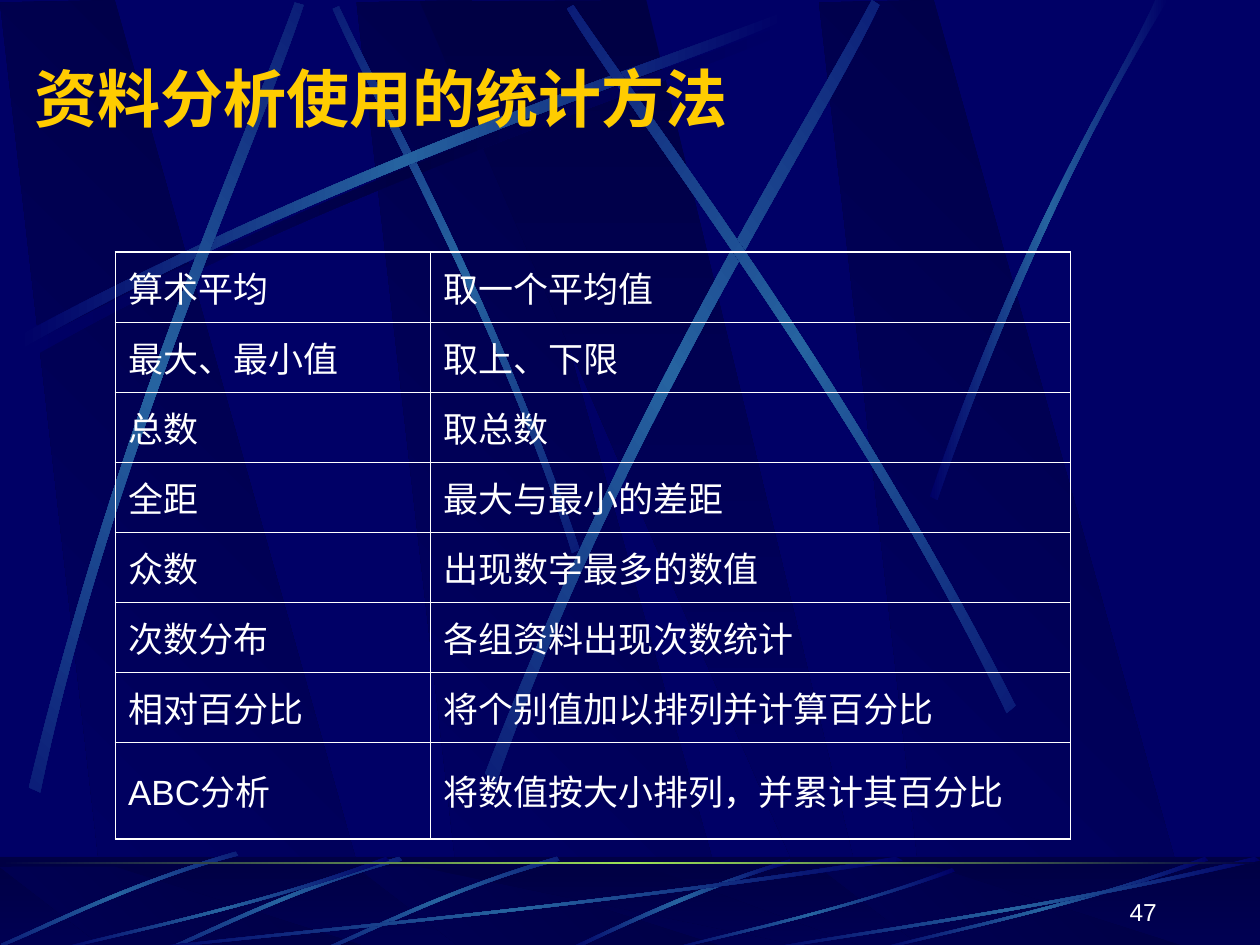
from math import cos, radians, sin

from lxml import etree
from pptx import Presentation
from pptx.dml.color import RGBColor as RGB
from pptx.enum.shapes import MSO_SHAPE as Shape
from pptx.enum.text import MSO_ANCHOR as Anchor, PP_ALIGN as Align
from pptx.oxml import parse_xml
from pptx.oxml.ns import nsdecls, qn
from pptx.util import Inches, Pt

COL = {"navy": "000066", "dark": "000044", "blue": "2663A0",
       "green": "9CE157", "gold": "FFCC00", "white": "FFFFFF"}
LATIN, HAN = "Arial", "Noto Sans CJK SC"

TITLE = "资料分析使用的统计方法"
NUMBER = "47"
ROWS = [
    ("算术平均", "取一个平均值"),
    ("最大、最小值", "取上、下限"),
    ("总数", "取总数"),
    ("全距", "最大与最小的差距"),
    ("众数", "出现数字最多的数值"),
    ("次数分布", "各组资料出现次数统计"),
    ("相对百分比", "将个别值加以排列并计算百分比"),
    ("ABC分析", "将数值按大小排列，并累计其百分比"),
]
WIDTHS = [2.5, 5.08]
HIGH, FOOT = 4.66, 0.77
HEIGHTS = [(HIGH - FOOT) / 7] * 7 + [FOOT]
THIN, THICK = 0.45, 1.08

SHADE = ["dark", "navy"]
GLOW = ["navy", "blue", "navy"]
DIM = ["navy", "dark", "navy"]

# Bands: gradient angle, corners
SLANT = [(0.86, 7.5), (3.02, 7.52), (0.91, 0), (0, 0.02)]
BANDS = [(135, [(x + dx, y) for x, y in SLANT]) for dx in (2.83, 0, 6.5)]
BANDS.append((90, [(3.33, 0.01), (6.58, 7.51), (6.94, 7.51), (5.13, 0)]))

# Ribbons: colours, rotation, two Bezier edges of four points each
BEAMS = [
    (DIM, 0, [(0.2, 2.75), (2.84, 1.34), (5.24, 0.59), (6.26, 0.18),
              (6.29, 0.24), (5.28, 0.69), (2.54, 1.51), (0.23, 2.85)]),
    (GLOW, 45, [(4.6, 4.36), (3.91, 2.34), (3.02, 0.77), (2.69, 0.05),
                (2.64, 0.07), (2.95, 0.79), (3.98, 2.58), (4.54, 4.39)]),
    (GLOW, 0, [(0.14, 2.67), (2.78, 1.25), (5.18, 0.51), (6.2, 0.1),
               (6.23, 0.16), (5.22, 0.61), (2.48, 1.43), (0.17, 2.77)]),
    (GLOW, 311.7, [(0.23, 6.25), (0.93, 3.34), (1.97, 1.05), (2.34, 0.02),
                   (2.41, 0.04), (2.07, 1.09), (0.86, 3.68), (0.32, 6.29)]),
    (GLOW, 321.6, [(3.85, 6.14), (4.98, 3.2), (6.38, 1.02), (6.92, 0),
                   (6.98, 0.04), (6.49, 1.08), (4.86, 3.55), (3.94, 6.21)]),
    (GLOW, 34.8, [(8.06, 5.6), (6.7, 2.93), (5.16, 0.95), (4.55, 0.04),
                  (4.5, 0.07), (5.07, 1.01), (6.85, 3.25), (7.99, 5.66)]),
    (GLOW, 0, [(7.38, 3.94), (8.14, 1.73), (8.88, 0.66), (9.17, 0),
               (9.27, 0), (8.36, 1.45), (7.69, 3.22), (7.44, 3.97)]),
]
BLADE = [(4.42, 6.8), (3.55, 7.05), (2.87, 7.4), (2.56, 7.53),
         (2.57, 7.55), (2.88, 7.43), (3.65, 7.03), (4.44, 6.83)]
# Long floor ribbons share one outline, as parts of their own box
SWEEP = [(1, 0.04), (0.57, 0.57), (0.17, 0.85), (0.01, 1),
         (0, 0.99), (0.17, 0.81), (0.62, 0.51), (0.99, 0)]
BOXES = [(1, 6.8, 6.17, 0.75), (0.42, 6.8, 2.67, 0.75), (5.27, 6.89, 2.31, 0.66),
         (6.92, 6.8, 2.67, 0.75), (6, 6.8, 4, 0.75)]

FLOOR = [(GLOW, 0, [(6.27, 6.82), (5.37, 7.09), (4.77, 7.42), (4.48, 7.54),
                    (4.53, 7.55), (4.9, 7.37), (5.71, 7), (6.28, 6.85)])]
FLOOR += [(GLOW, 314.9, [(x + dx, y + dy) for x, y in BLADE])
          for dx, dy in ((0, 0), (-1.25, 0), (-2.55, -0.04))]
FLOOR += [(GLOW, 0, [(x + w * u, y + h * v) for u, v in SWEEP])
          for x, y, w, h in BOXES]


def shade(shape, names, angle):
    """Fill with evenly spaced colours along a clockwise angle."""
    step = 100000 // (len(names) - 1)
    stops = "".join(f'<a:gs pos="{i * step}"><a:srgbClr val="{COL[n]}"/></a:gs>'
                    for i, n in enumerate(names))
    shape.fill.background()
    props = shape.element.spPr
    props.replace(props.find(qn("a:noFill")), parse_xml(
        f'<a:gradFill {nsdecls("a")} rotWithShape="1"><a:gsLst>{stops}</a:gsLst>'
        f'<a:lin ang="{angle * 60000}" scaled="0"/></a:gradFill>'))
    shape.line.fill.background()
    shape.shadow.inherit = False


def turn(x, y, deg):
    c, s = cos(radians(deg)), sin(radians(deg))
    return x * c - y * s, x * s + y * c


def outline(shapes, pts):
    pts = [(Inches(x), Inches(y)) for x, y in pts]
    form = shapes.build_freeform(*pts[0])
    form.add_line_segments(pts[1:], close=True)
    return form.convert_to_shape()


def bend(shape):
    """Join each three lines of an edge into one Bezier curve."""
    lines = list(shape.element.iter(qn("a:lnTo")))
    for trio in (lines[:3], lines[4:]):
        curve = etree.Element(qn("a:cubicBezTo"))
        trio[0].addprevious(curve)
        for line in trio:
            curve.append(line[0])
            line.getparent().remove(line)


def ribbon(shapes, names, deg, pts):
    """Draw the ribbon unturned, then turn it so the gradient follows its length."""
    shape = outline(shapes, [turn(x, y, -deg) for x, y in pts])
    bend(shape)
    mid = shape.left + shape.width / 2, shape.top + shape.height / 2
    x, y = turn(*mid, deg)
    shape.left, shape.top = int(x - shape.width / 2), int(y - shape.height / 2)
    shape.rotation = deg
    shade(shape, names, 180)


def box(shapes, top, high):
    return shapes.add_shape(Shape.RECTANGLE, 0, Inches(top), Inches(10), Inches(high))


def style(para, size, color, face=LATIN, bold=False):
    for run in para.runs:
        font = run.font
        font.size, font.name, font.bold = Pt(size), face, bold
        font.color.rgb = RGB.from_string(COL[color])
        etree.SubElement(run._r.get_or_add_rPr(), qn("a:ea"), typeface=HAN)


def border(cell, sides):
    props = cell._tc.get_or_add_tcPr()
    for i, (side, width) in enumerate(sides.items()):
        props.insert(i, parse_xml(
            f'<a:ln{side} {nsdecls("a")} w="{int(Pt(width))}"><a:solidFill>'
            f'<a:srgbClr val="{COL["white"]}"/></a:solidFill></a:ln{side}>'))


def scenery(shapes):
    for angle, pts in BANDS:
        shade(outline(shapes, pts), SHADE, angle)
    for beam in BEAMS:
        ribbon(shapes, *beam)
    shade(box(shapes, 6.8, 0.75), SHADE, 90)
    for angle, pts in BANDS:
        flat = [(x, 6.88 + y * 0.67 / 7.52) for x, y in pts]
        shade(outline(shapes, flat), SHADE, angle)
    veil = box(shapes, 6.8, 0.75)
    veil.fill.solid()
    veil.fill.fore_color.rgb = RGB.from_string(COL["dark"])
    tint = veil.element.spPr.find(".//" + qn("a:srgbClr"))
    etree.SubElement(tint, qn("a:alpha"), val="50000")
    veil.line.fill.background()
    veil.shadow.inherit = False
    for beam in FLOOR:
        ribbon(shapes, *beam)
    shade(box(shapes, 6.84, 0.02), ["dark", "green", "dark"], 180)


def methods(shapes):
    last = len(ROWS) - 1
    table = shapes.add_table(len(ROWS), 2, Inches(11 / 12), Inches(2),
                             Inches(sum(WIDTHS)), Inches(HIGH)).table
    table.first_row = table.horz_banding = False
    for col, width in zip(table.columns, WIDTHS):
        col.width = Inches(width)
    for r, (row, high) in enumerate(zip(ROWS, HEIGHTS)):
        table.rows[r].height = Inches(high)
        for c, text in enumerate(row):
            cell = table.cell(r, c)
            cell.text_frame.text = text
            cell.vertical_anchor = Anchor.MIDDLE
            cell.fill.background()
            style(cell.text_frame.paragraphs[0], 20, "white")
            outer = {"L": c == 0, "R": c == 1, "T": r == 0, "B": r == last}
            border(cell, {s: THICK if out else THIN for s, out in outer.items()})


def main():
    deck = Presentation()
    deck.slide_width, deck.slide_height = Inches(10), Inches(7.5)
    slide = deck.slides.add_slide(deck.slide_layouts[5])
    slide.background.fill.solid()
    slide.background.fill.fore_color.rgb = RGB.from_string(COL["navy"])
    shapes = slide.shapes
    scenery(shapes)

    title = shapes.title
    title.element.getparent().append(title.element)  # bring to front
    title.left, title.top = Inches(0.17), Inches(0.42)
    title.width, title.height = Inches(8.83), Inches(1.3)
    frame = title.text_frame
    frame.text = TITLE
    frame.vertical_anchor = Anchor.TOP
    frame.paragraphs[0].alignment = Align.LEFT
    style(frame.paragraphs[0], 36, "gold", HAN, True)

    methods(shapes)

    page = shapes.add_textbox(Inches(7.2), Inches(6.9), Inches(2.08), Inches(0.5))
    frame = page.text_frame
    frame.text = NUMBER
    frame.word_wrap, frame.vertical_anchor = True, Anchor.BOTTOM
    frame.paragraphs[0].alignment = Align.RIGHT
    style(frame.paragraphs[0], 14, "white")
    deck.save("out.pptx")


if __name__ == "__main__":
    main()
